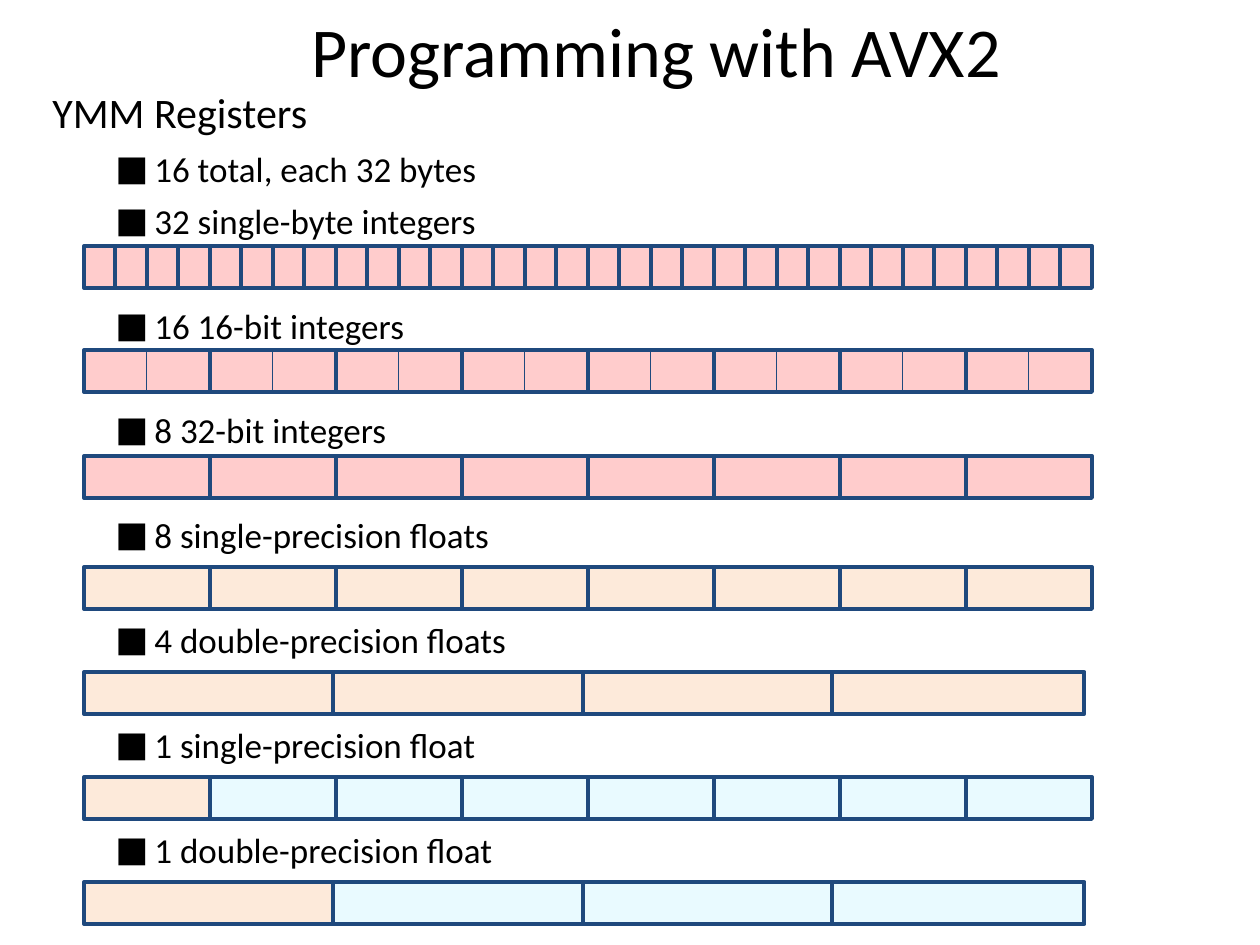
import pptx
import pptx.dml.color
import pptx.enum.shapes
import pptx.enum.text
import pptx.oxml
import pptx.oxml.ns
import pptx.util
from lxml import etree

PX = 914400 // 126
RGB = pptx.dml.color.RGBColor
BLACK = RGB(0x00, 0x00, 0x00)
NAVY = RGB(0x1F, 0x49, 0x7D)
PINK = RGB(0xFF, 0xCC, 0xCC)
PEACH = RGB(0xFD, 0xEA, 0xDA)
ICE = RGB(0xE9, 0xFA, 0xFF)

LEFT, CELL_HEIGHT = 84, 42
FULL_SPAN, SHORT_SPAN = 1008, 998
THICK, THIN = 2.25, 0.5

# Register rows: top, number of cells, span, fill of first cell, fill of the rest
ROWS = [
    (246, 32, FULL_SPAN, PINK, PINK),
    (456, 8, FULL_SPAN, PINK, PINK),
    (567, 8, FULL_SPAN, PEACH, PEACH),
    (672, 4, SHORT_SPAN, PEACH, PEACH),
    (777, 8, FULL_SPAN, PEACH, ICE),
    (882, 4, SHORT_SPAN, PEACH, ICE),
]
WORDS_TOP = 350

# Bullets: text, space before; the wider gap leaves room for a register row
TIGHT, ROW_GAP = 4.6, 34.7
BULLETS = [
    ("16 total, each 32 bytes", TIGHT),
    ("32 single-byte integers", TIGHT),
    ("16 16-bit integers", ROW_GAP),
    ("8 32-bit integers", ROW_GAP),
    ("8 single-precision floats", ROW_GAP),
    ("4 double-precision floats", ROW_GAP),
    ("1 single-precision float", ROW_GAP),
    ("1 double-precision float", ROW_GAP),
]


def emu(px):
    return pptx.util.Emu(round(px * PX))


def set_attrs(obj, values):
    for name, value in values.items():
        setattr(obj, name, value)


def add_box(slide, left, top, width, height):
    sp = slide.shapes.add_textbox(emu(left), emu(top), emu(width), emu(height))
    sp.text_frame.word_wrap = True
    return sp.text_frame


def write(p, text, size, **paragraph_format):
    set_attrs(p, paragraph_format)
    r = p.add_run()
    r.text = text
    set_attrs(r.font, {"name": "Calibri", "size": pptx.util.Pt(size)})
    r.font.color.rgb = BLACK


def add_bullet(p):
    pPr = p._p.get_or_add_pPr()
    pPr.set("marL", str(emu(102)))
    pPr.set("indent", str(emu(-39)))
    qn = pptx.oxml.ns.qn
    color = etree.SubElement(pPr, qn("a:buClr"))
    etree.SubElement(color, qn("a:srgbClr"), val=str(BLACK))
    etree.SubElement(pPr, qn("a:buFont"), typeface="Calibri")
    etree.SubElement(pPr, qn("a:buChar"), char="■")


def add_cell(shapes, left, top, width, fill, weight):
    sp = shapes.add_shape(pptx.enum.shapes.MSO_SHAPE.RECTANGLE,
                          emu(left), emu(top), emu(width), emu(CELL_HEIGHT))
    sp.shadow.inherit = False
    if fill is None:
        sp.fill.background()
    else:
        sp.fill.solid()
        sp.fill.fore_color.rgb = fill
    sp.line.color.rgb = NAVY
    sp.line.width = pptx.util.Pt(weight)


def add_register(shapes, top, count, span, first, rest, weight=THICK):
    for i in range(count):
        add_cell(shapes, LEFT + i * span / count, top, FULL_SPAN / count,
                 rest if i else first, weight)


def main():
    prs = pptx.Presentation()
    set_attrs(prs, {"slide_width": emu(1260), "slide_height": emu(945)})
    slide = prs.slides.add_slide(prs.slide_layouts[6])

    # Title
    tf = add_box(slide, 55, -4, 1202, 107)
    tf.vertical_anchor = pptx.enum.text.MSO_ANCHOR.MIDDLE
    write(tf.paragraphs[0], "Programming with AVX2", 40,
          alignment=pptx.enum.text.PP_ALIGN.CENTER)

    # Heading and bullets
    tf = add_box(slide, 40, 78, 1145, 847)
    write(tf.paragraphs[0], "YMM Registers", 24, line_spacing=1.05)
    for text, gap in BULLETS:
        p = tf.add_paragraph()
        add_bullet(p)
        write(p, text, 20, level=1, line_spacing=1.05,
              space_before=pptx.util.Pt(gap))

    # 16-bit row: thin cells under thick pairs
    group = slide.shapes.add_group_shape()
    add_register(group.shapes, WORDS_TOP, 16, FULL_SPAN, PINK, PINK, THIN)
    add_register(slide.shapes, WORDS_TOP, 8, FULL_SPAN, None, None)

    # Other register rows
    for row in ROWS:
        add_register(slide.shapes, *row)

    prs.save("out.pptx")


if __name__ == "__main__":
    main()
